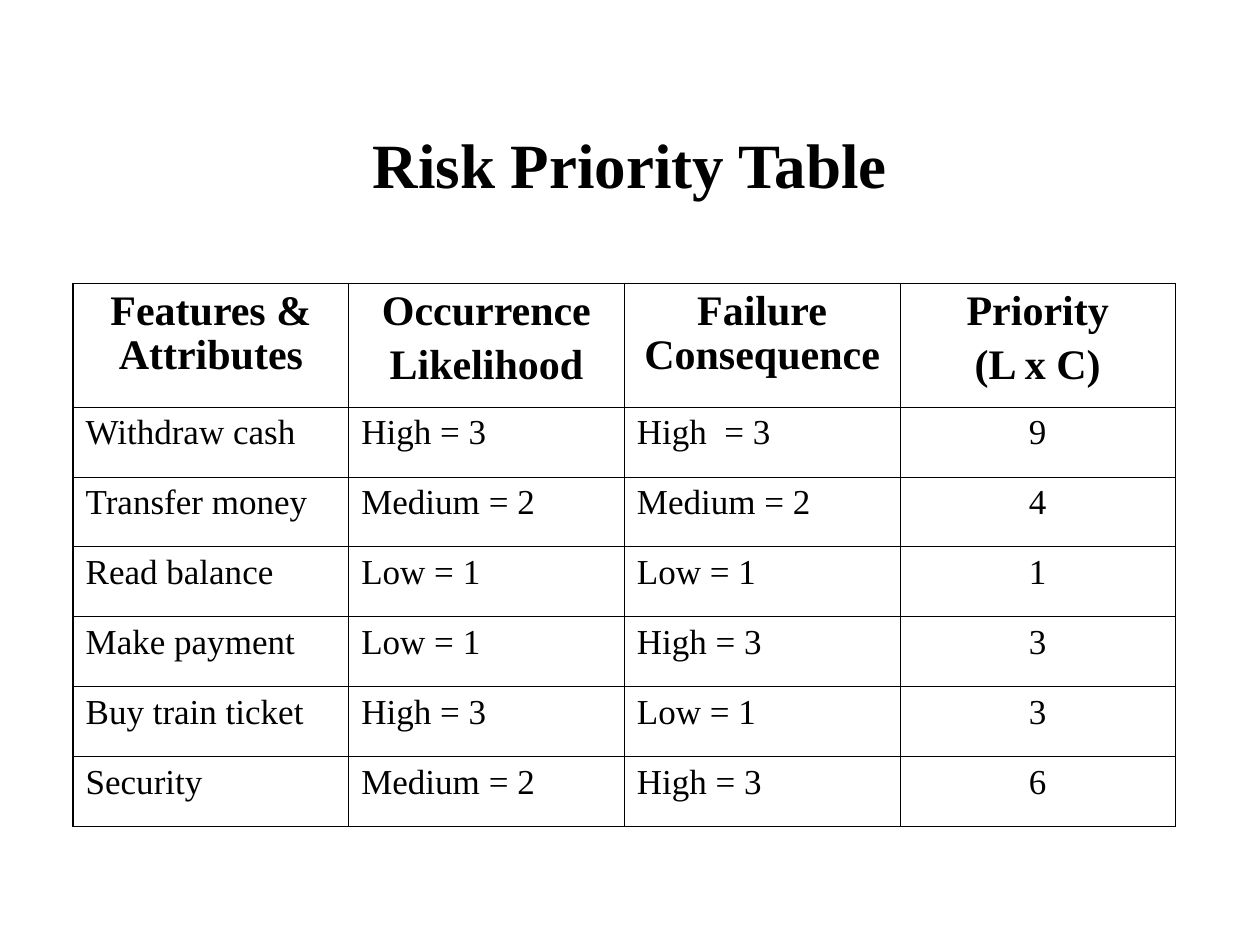
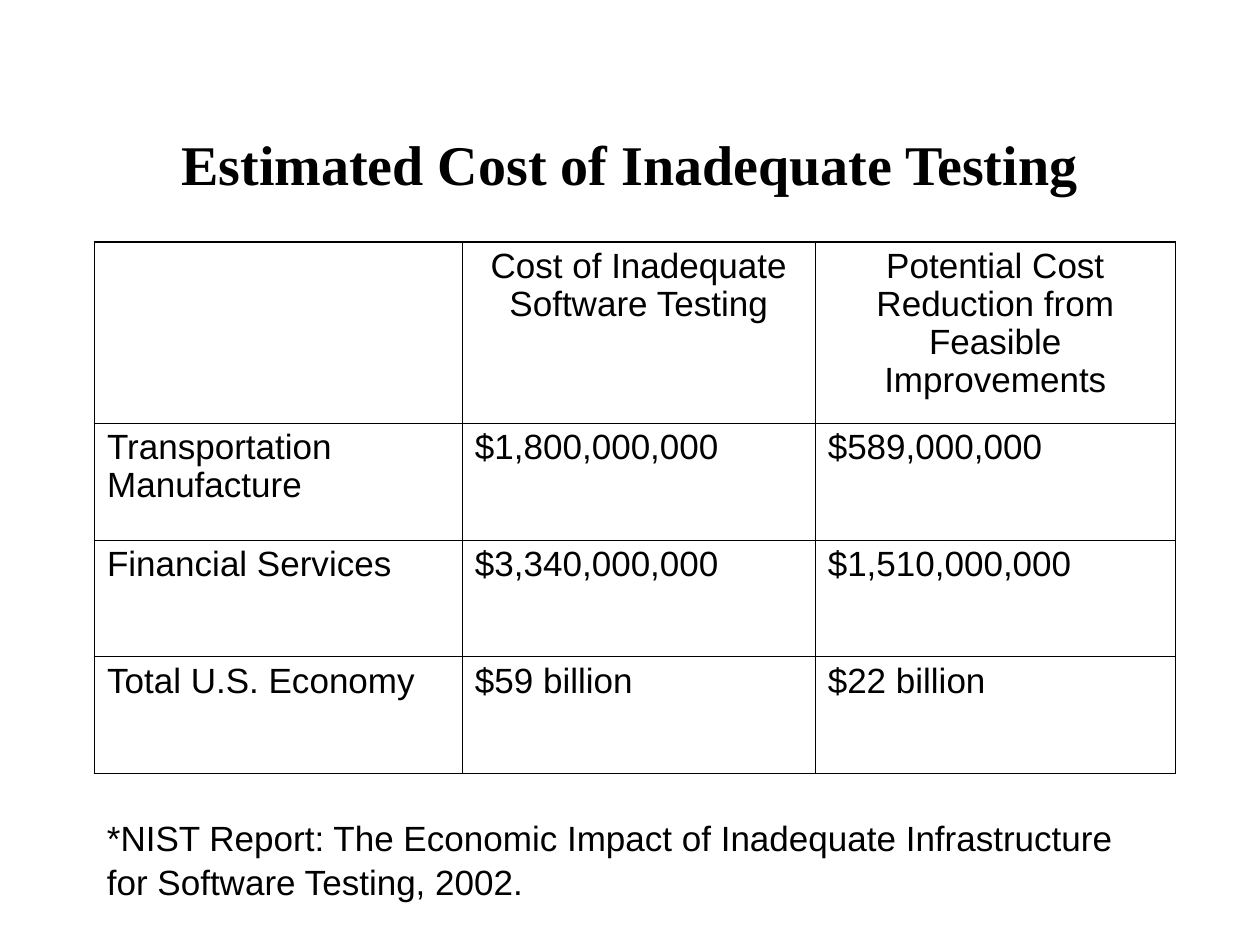
from lxml.etree import SubElement
from pptx import Presentation
from pptx.dml.color import RGBColor
from pptx.enum.text import MSO_ANCHOR as Anchor, MSO_AUTO_SIZE as Fit, PP_ALIGN as Align
from pptx.oxml.ns import qn
from pptx.util import Inches, Pt

BLACK = RGBColor(0x00, 0x00, 0x00)
SERIF, SANS = "Times New Roman", "Arial"
THIN, THICK = Pt(0.45), Pt(1.08)

# Slide content: a line break in a cell starts a new paragraph
RISKS = [
    ["Features & Attributes", "Occurrence\nLikelihood", "Failure Consequence", "Priority\n(L x C)"],
    ["Withdraw cash", "High = 3", "High  = 3", "9"],
    ["Transfer money", "Medium = 2", "Medium = 2", "4"],
    ["Read balance", "Low = 1", "Low = 1", "1"],
    ["Make payment", "Low = 1", "High = 3", "3"],
    ["Buy train ticket", "High = 3", "Low = 1", "3"],
    ["Security", "Medium = 2", "High = 3", "6"],
]
COSTS = [
    ["", "Cost of Inadequate Software Testing",
     "Potential Cost Reduction from Feasible Improvements"],
    ["Transportation Manufacture", "$1,800,000,000", "$589,000,000"],
    ["Financial Services", "$3,340,000,000", "$1,510,000,000"],
    ["Total U.S. Economy", "$59 billion", "$22 billion"],
]
SOURCE = ("*NIST Report: The Economic Impact of Inadequate Infrastructure "
          "for Software Testing, 2002.")


def style(para, face, size, bold=False, align=Align.LEFT, pitch=1.0):
    para.alignment = align
    para.line_spacing = pitch
    font = para.font
    font.name, font.size, font.bold = face, Pt(size), bold
    font.color.rgb = BLACK


def place(shape, left, top, width, height):
    shape.left, shape.top = Inches(left), Inches(top)
    shape.width, shape.height = Inches(width), Inches(height)


def add_slide(deck, title, size):
    slide = deck.slides.add_slide(deck.slide_layouts[5])
    head = slide.shapes.title
    place(head, 0.75, 0.67, 8.5, 1.25)
    frame = head.text_frame
    frame.text = title
    frame.auto_size = Fit.NONE
    frame.vertical_anchor = Anchor.MIDDLE
    style(frame.paragraphs[0], face=SERIF, size=size, bold=True, align=Align.CENTER)
    return slide


def rule_cell(cell, edges):
    """Draw the four borders; edges names the sides on the table's rim."""
    props = cell._tc.get_or_add_tcPr()
    for side in "LRTB":
        width = THICK if side in edges else THIN
        line = SubElement(props, qn(f"a:ln{side}"), w=str(int(width)))
        fill = SubElement(line, qn("a:solidFill"))
        SubElement(fill, qn("a:srgbClr"), val=str(BLACK))
    cell.fill.background()


def add_grid(slide, data, left, top, widths, height, head, look):
    """Build a ruled table; look(row, col) gives the text style of a cell."""
    last_row, last_col = len(data) - 1, len(widths) - 1
    table = slide.shapes.add_table(
        len(data), len(widths), Inches(left), Inches(top),
        Inches(sum(widths)), Inches(height)).table
    table.first_row = table.horz_banding = False
    for col, width in enumerate(widths):
        table.columns[col].width = Inches(width)
    for row, texts in enumerate(data):
        # Rows below the header share the remaining height
        table.rows[row].height = Inches((height - head) / last_row if row else head)
        for col, text in enumerate(texts):
            cell = table.cell(row, col)
            rim = {"L": col == 0, "R": col == last_col,
                   "T": row == 0, "B": row == last_row}
            rule_cell(cell, [side for side, outer in rim.items() if outer])
            cell.text = text
            for index, para in enumerate(cell.text_frame.paragraphs):
                style(para, **look(row, col))
                if index:
                    para.space_before = Pt(6)


def risk_look(row, col):
    if row == 0:
        return dict(face=SERIF, size=24, bold=True, align=Align.CENTER, pitch=0.95)
    return dict(face=SERIF, size=20, align=Align.CENTER if col == 3 else Align.LEFT)


def cost_look(row, col):
    return dict(face=SANS, size=20, pitch=0.97,
                align=Align.LEFT if row else Align.CENTER)


def add_note(slide, text):
    box = slide.shapes.add_textbox(Inches(0.75), Inches(6.42), Inches(8.58), Inches(0.77))
    frame = box.text_frame
    frame.word_wrap = True
    frame.text = text
    style(frame.paragraphs[0], face=SANS, size=20, pitch=1.04)


def main():
    deck = Presentation()
    deck.slide_width, deck.slide_height = Inches(10), Inches(7.5)

    # Risk priorities
    slide = add_slide(deck, "Risk Priority Table", size=36)
    add_grid(slide, RISKS, left=0.58, top=2.25, widths=[8.75 / 4] * 4,
             height=4.31, head=0.98, look=risk_look)

    # Cost of testing
    slide = add_slide(deck, "Estimated Cost of Inadequate Testing", size=32)
    add_grid(slide, COSTS, left=0.75, top=1.92, widths=[2.92, 2.8, 2.86],
             height=4.22, head=1.44, look=cost_look)
    add_note(slide, SOURCE)

    deck.save("out.pptx")


if __name__ == "__main__":
    main()
